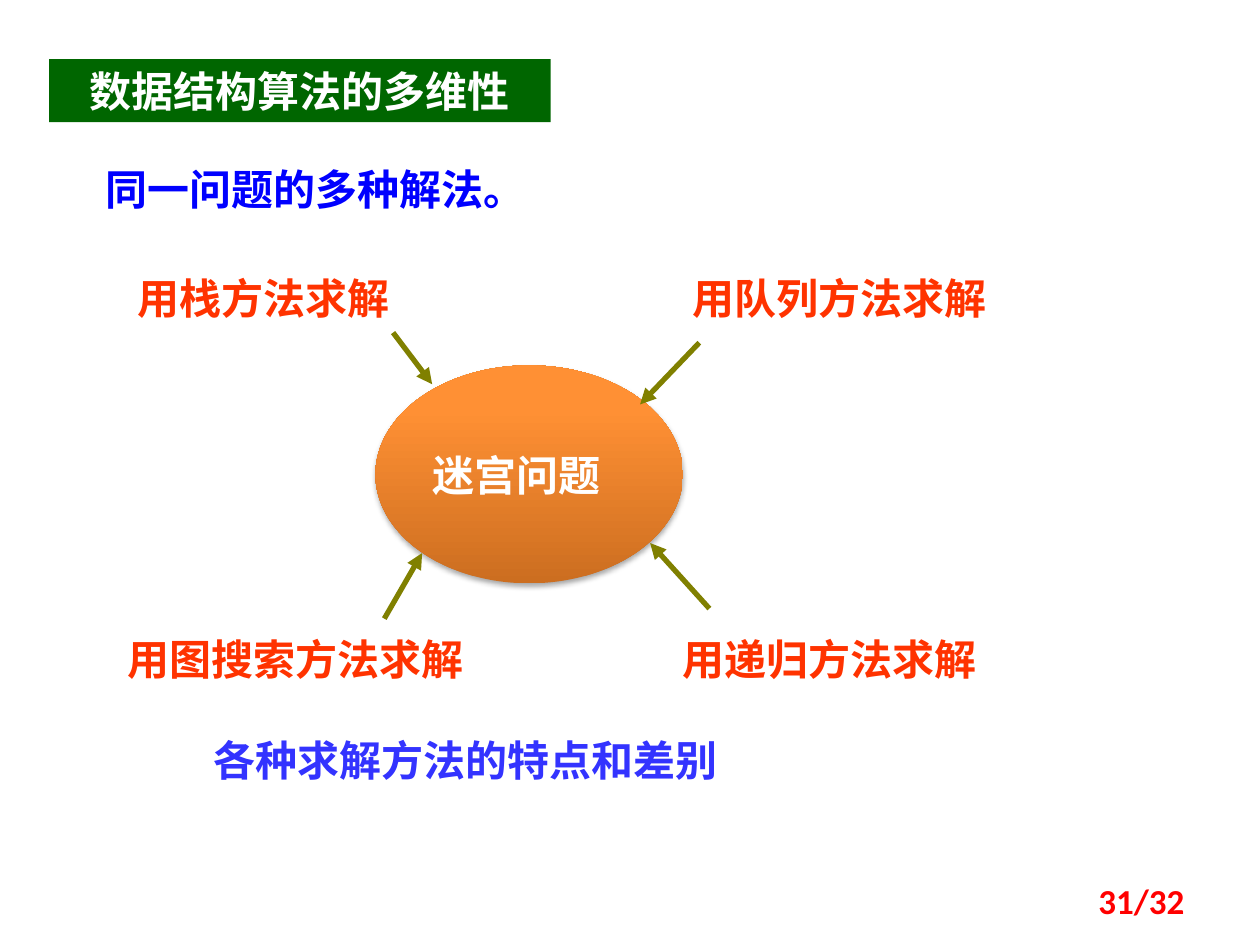
import copy
from dataclasses import dataclass

import lxml.etree
import pptx
import pptx.dml.color
import pptx.enum.shapes
import pptx.enum.text
import pptx.oxml
import pptx.oxml.ns
import pptx.util

Inches = pptx.util.Inches
Align = pptx.enum.text.PP_ALIGN
Anchor = pptx.enum.text.MSO_ANCHOR
Shape = pptx.enum.shapes.MSO_SHAPE
qn = pptx.oxml.ns.qn


@dataclass(frozen=True)
class Theme:
    cjk: str = "Noto Sans CJK SC"
    serif: str = "Times New Roman"
    latin: str = "Calibri"
    white: str = "FFFFFF"
    banner: str = "006600"
    lead: str = "0000FF"
    method: str = "FF3300"
    summary: str = "3333FF"
    arrow: str = "808000"
    number: str = "FF0000"
    oval: tuple = ((0, "CC6E20"), (0.8, "FF9034"), (1, "FF9136"))
    body_size: int = 24
    number_size: int = 20
    arrow_width: int = 3


def rgb(value):
    return pptx.dml.color.RGBColor.from_string(value)


class SlideBuilder:
    def __init__(self, page, theme):
        self.page = page
        self.theme = theme

    def set_text(self, shape, text, color, align=Align.LEFT, font=None, size=None,
                 anchor=Anchor.TOP, wrap=True, grow=True):
        frame = shape.text_frame
        frame.text = text
        frame.word_wrap = wrap
        frame.vertical_anchor = anchor
        if grow:
            frame.auto_size = pptx.enum.text.MSO_AUTO_SIZE.SHAPE_TO_FIT_TEXT
        para = frame.paragraphs[0]
        para.alignment = align
        span = para.runs[0]
        span.font.name = font or self.theme.cjk
        span.font.size = pptx.util.Pt(size or self.theme.body_size)
        span.font.bold = True
        span.font.color.rgb = rgb(color)
        east_asian = lxml.etree.Element(qn("a:ea"), typeface=self.theme.cjk)
        span.font._element.find(qn("a:latin")).addnext(east_asian)

    def label(self, place, text, color, parent=None, **style):
        shapes = (parent or self.page).shapes
        box = shapes.add_textbox(*map(Inches, place))
        self.set_text(box, text, color, **style)

    def banner(self, place, text):
        bar = self.page.shapes.add_shape(Shape.RECTANGLE, *map(Inches, place))
        bar.shadow.inherit = False
        bar.fill.solid()
        bar.fill.fore_color.rgb = rgb(self.theme.banner)
        bar.line.fill.background()
        self.set_text(bar, text, self.theme.white, align=Align.CENTER)

    def oval(self, place, text):
        """Add an ellipse with a three-stop gradient and a soft shadow below."""
        oval = self.page.shapes.add_shape(Shape.OVAL, *map(Inches, place))
        oval.line.fill.background()
        oval.fill.gradient()
        oval.fill.gradient_angle = 90
        stop_list = oval._element.spPr.find(".//" + qn("a:gsLst"))
        stop_list.append(copy.deepcopy(stop_list[-1]))
        for stop, (position, color) in zip(oval.fill.gradient_stops, self.theme.oval):
            stop.position = position
            stop.color.rgb = rgb(color)
        oval.shadow.inherit = False
        effects = oval._element.spPr.find(qn("a:effectLst"))
        shadow = lxml.etree.SubElement(
            effects, qn("a:outerShdw"), blurRad=str(pptx.util.Pt(3.1)),
            dist=str(pptx.util.Pt(1.8)), dir="5400000", rotWithShape="0")
        tint = lxml.etree.SubElement(shadow, qn("a:srgbClr"), val="000000")
        lxml.etree.SubElement(tint, qn("a:alpha"), val="35000")
        self.set_text(oval, text, self.theme.white, anchor=Anchor.MIDDLE,
                      wrap=False, grow=False)

    def arrow(self, start, end, parent):
        line = parent.shapes.add_connector(
            pptx.enum.shapes.MSO_CONNECTOR.STRAIGHT, *map(Inches, start + end))
        line.line.color.rgb = rgb(self.theme.arrow)
        line.line.width = pptx.util.Pt(self.theme.arrow_width)
        lxml.etree.SubElement(line.line._get_or_add_ln(), qn("a:tailEnd"), type="triangle")
        lxml.etree.SubElement(line._element.spPr, qn("a:effectLst"))

    def method(self, text, place, start, end):
        """Group a solution method with its arrow to the central problem."""
        group = self.page.shapes.add_group_shape()
        self.label(place, text, self.theme.method, parent=group)
        self.arrow(start, end, group)


def main():
    deck = pptx.Presentation()
    deck.slide_width, deck.slide_height = Inches(10), Inches(7.5)
    theme = Theme()
    slide = SlideBuilder(deck.slides.add_slide(deck.slide_layouts[6]), theme)

    slide.banner((0.39, 0.47, 3.98, 0.5), "数据结构算法的多维性")
    slide.label((0.62, 1.25, 3.44, 0.5), "同一问题的多种解法。", theme.lead,
                align=Align.CENTER, font=theme.serif)
    slide.oval((2.98, 2.9, 2.44, 1.73), "迷宫问题")

    upper, lower, height = 2.11, 4.98, 0.5
    methods = [
        ("用栈方法求解", (0.99, upper, 2.91, height), (3.12, 2.64), (3.43, 3.05)),
        ("用队列方法求解", (5.4, upper, 2.99, height), (5.55, 2.72), (5.08, 3.21)),
        ("用图搜索方法求解", (0.91, lower, 3.15, height), (3.05, 4.91), (3.35, 4.39)),
        ("用递归方法求解", (5.32, lower, 3.07, height), (5.63, 4.83), (5.16, 4.31)),
    ]
    for method in methods:
        slide.method(*method)

    slide.label((0.78, 5.78, 5.83, 0.5), "各种求解方法的特点和差别", theme.summary,
                align=Align.CENTER)
    slide.label((7.17, 6.95, 2.33, 0.4), "31/32", theme.number, align=Align.RIGHT,
                font=theme.latin, size=theme.number_size, anchor=Anchor.MIDDLE,
                grow=False)
    deck.save("out.pptx")


if __name__ == "__main__":
    main()
